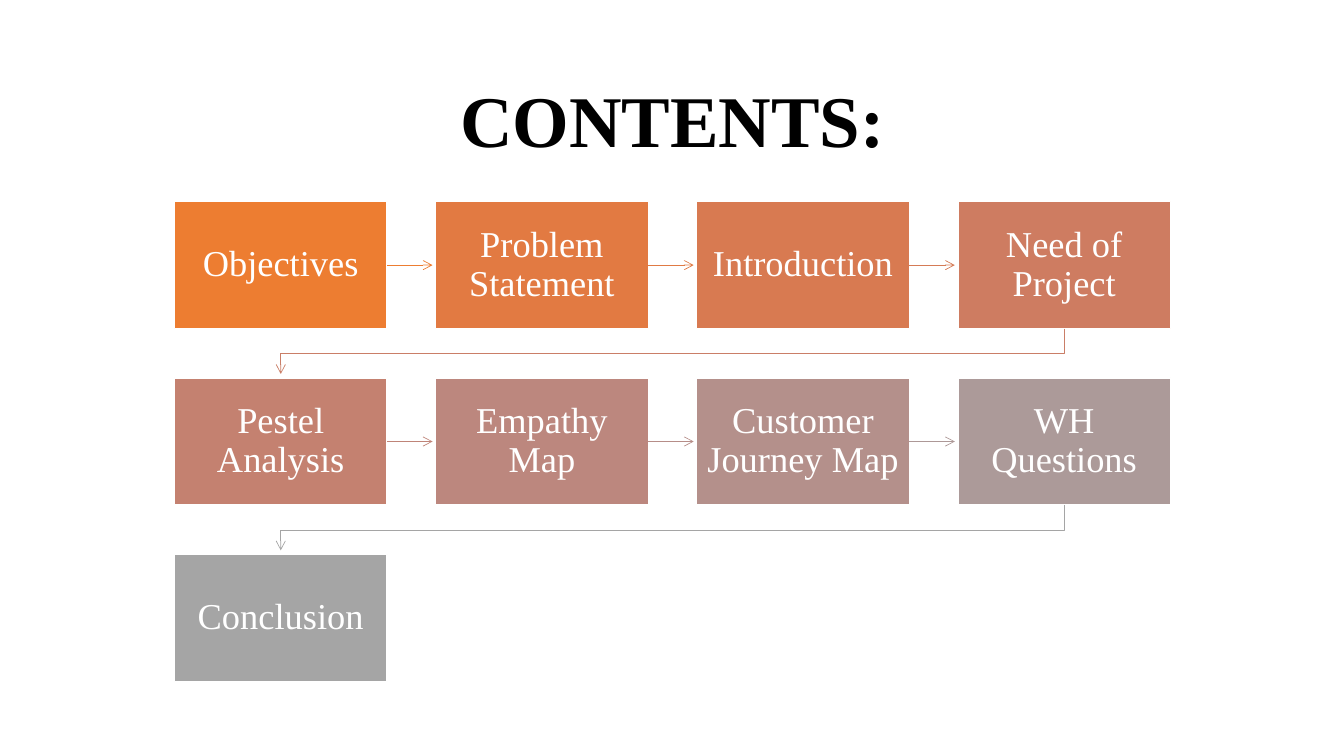
from dataclasses import dataclass

from lxml.etree import SubElement
from pptx import Presentation
from pptx.dml.color import RGBColor
from pptx.enum.shapes import MSO_CONNECTOR as Connector, MSO_SHAPE as Shape
from pptx.enum.text import MSO_ANCHOR as Anchor, PP_ALIGN as Align
from pptx.oxml.ns import qn
from pptx.util import Inches, Pt


@dataclass(frozen=True)
class Theme:
    font: str = "Times New Roman"
    title_size: int = 52
    topic_size: int = 26
    title_color: str = "000000"
    white: str = "FFFFFF"


theme = Theme()

# Topic, box colour, colour of the arrow to the next topic
topics = [
    ("Objectives", "ED7D31", "ED7D31"),
    ("Problem Statement", "E27A42", "E07A44"),
    ("Introduction", "D87A51", "D57B56"),
    ("Need of Project", "CE7C61", "CA7E67"),
    ("Pestel Analysis", "C48170", "BF8478"),
    ("Empathy Map", "BC877E", "B68D88"),
    ("Customer Journey Map", "B4908B", "AD9897"),
    ("WH Questions", "AC9A99", "A5A5A5"),
    ("Conclusion", "A5A5A5", None),
]

# Grid of topic boxes, in inches
columns = 4
grid_left, grid_top = 1.73, 2.0
box_width, box_height = 2.11, 1.26
column_step, row_step = 2.59, 1.75


def write_text(holder, text, size, color, bold=False, inset_x=0.1, inset_y=0.05):
    frame = holder.text_frame
    frame.word_wrap = True
    frame.vertical_anchor = Anchor.MIDDLE
    frame.margin_left = frame.margin_right = Inches(inset_x)
    frame.margin_top = frame.margin_bottom = Inches(inset_y)
    paragraph = frame.paragraphs[0]
    paragraph.alignment = Align.CENTER
    paragraph.line_spacing = 0.9
    run = paragraph.add_run()
    run.text = text
    run.font.name = theme.font
    run.font.size = Pt(size)
    run.font.bold = bold
    run.font.color.rgb = RGBColor.from_string(color)


def style_arrow(arrow, color):
    arrow.line.color.rgb = RGBColor.from_string(color)
    arrow.line.width = Pt(0.5)
    properties = arrow.element.spPr
    SubElement(properties.find(qn("a:ln")), qn("a:tailEnd"), type="arrow")
    SubElement(properties, qn("a:effectLst"))


presentation = Presentation()
presentation.slide_width = Inches(13.33)
presentation.slide_height = Inches(7.5)
slide = presentation.slides.add_slide(presentation.slide_layouts[6])
shapes = slide.shapes

# Title
title = shapes.add_textbox(Inches(0.92), Inches(0.61), Inches(11.5), Inches(1.24))
write_text(title, "CONTENTS:", theme.title_size, theme.title_color, bold=True)

for index, (topic, box_color, arrow_color) in enumerate(topics):
    row, column = divmod(index, columns)
    left = grid_left + column * column_step
    top = grid_top + row * row_step
    right, bottom = left + box_width, top + box_height

    # Topic box
    box = shapes.add_shape(Shape.RECTANGLE, Inches(left), Inches(top),
                           Inches(box_width), Inches(box_height))
    box.shadow.inherit = False
    box.fill.solid()
    box.fill.fore_color.rgb = RGBColor.from_string(box_color)
    box.line.color.rgb = RGBColor.from_string(theme.white)
    box.line.width = Pt(1)
    write_text(box, topic, theme.topic_size, theme.white, inset_y=0.11)

    # Arrow to the next topic: straight along a row, bent to the next row
    if arrow_color is None:
        continue
    if column < columns - 1:
        middle = Inches(top + box_height / 2)
        arrow = shapes.add_connector(Connector.STRAIGHT, Inches(right), middle,
                                     Inches(right + 0.45), middle)
    else:
        start_x = Inches(left + box_width / 2)
        end_x = Inches(grid_left + box_width / 2)
        turn_y = Inches(bottom + 0.25)
        outline = shapes.build_freeform(start_x, Inches(bottom))
        outline.add_line_segments([(start_x, turn_y), (end_x, turn_y),
                                   (end_x, Inches(bottom + 0.45))], close=False)
        arrow = outline.convert_to_shape()
        arrow.fill.background()
    style_arrow(arrow, arrow_color)

presentation.save("out.pptx")
